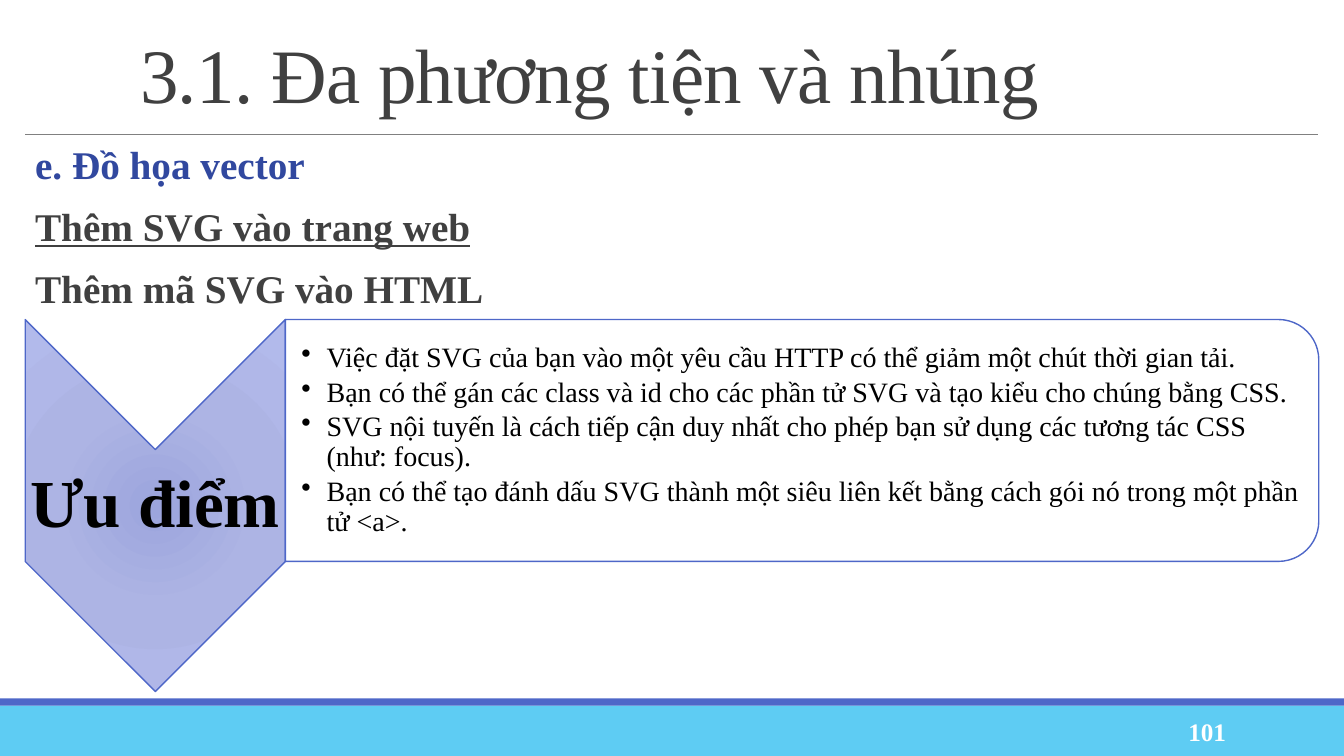
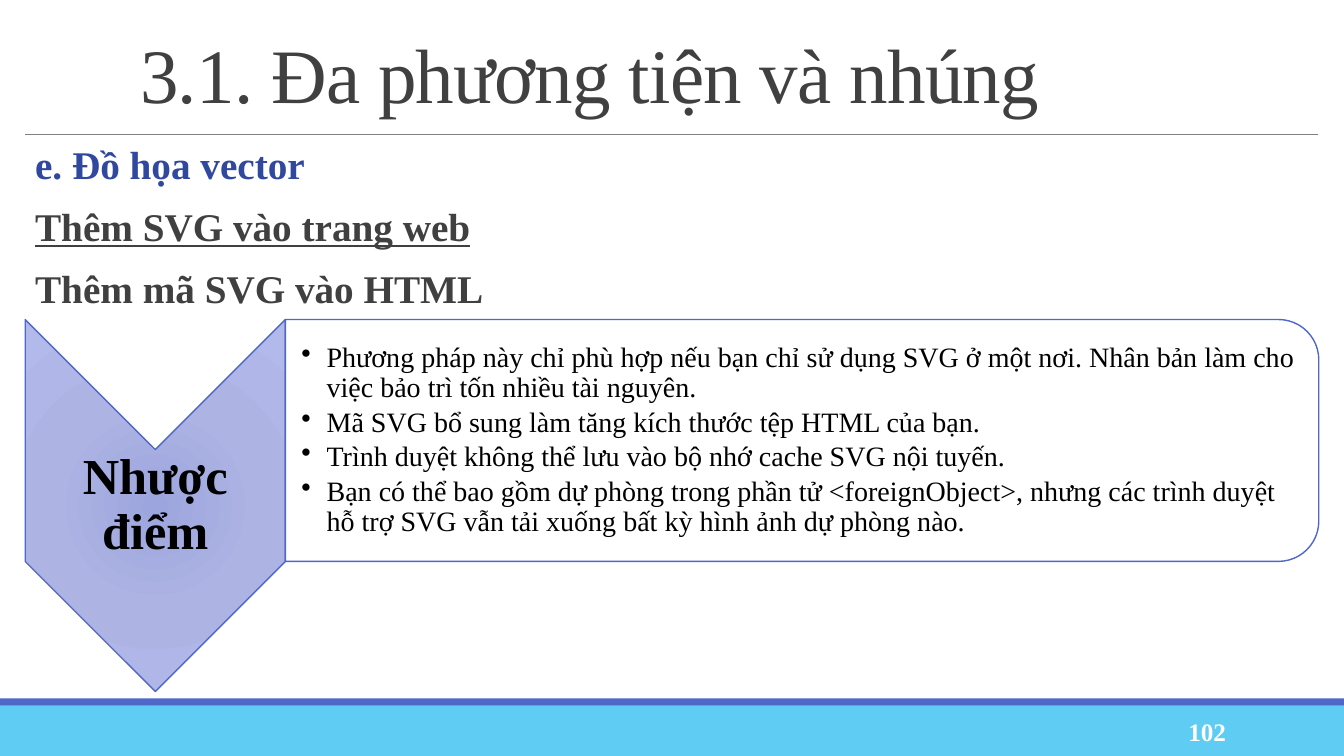
from lxml import etree
from pptx import Presentation
from pptx.dml.color import RGBColor
from pptx.enum.shapes import MSO_CONNECTOR, MSO_SHAPE
from pptx.enum.text import MSO_ANCHOR, MSO_AUTO_SIZE, PP_ALIGN
from pptx.oxml import parse_xml
from pptx.oxml.ns import qn
from pptx.util import Inches, Pt

LEFT, CENTER, RIGHT = PP_ALIGN.LEFT, PP_ALIGN.CENTER, PP_ALIGN.RIGHT
TOP, MIDDLE = MSO_ANCHOR.TOP, MSO_ANCHOR.MIDDLE
RECT, CHEVRON = MSO_SHAPE.RECTANGLE, MSO_SHAPE.CHEVRON
ROUND, LINE = MSO_SHAPE.ROUND_2_SAME_RECTANGLE, MSO_CONNECTOR.STRAIGHT

FONT = "Times New Roman"
COLORS = {
    "sky": "5ECCF3", "blue": "4E67C8", "navy": "31489F", "rule": "808080",
    "text": "404040", "black": "000000", "white": "FFFFFF",
}
GLOW = [(0, "9CA5DD"), (45, "ADB4E4"), (100, "B2BAEB")]

TITLE = "3.1. Đa phương tiện và nhúng"
HEADS = [
    ("e. Đồ họa vector", {"color": "navy"}),
    ("Thêm SVG vào trang web", {"underline": True}),
    ("Thêm mã SVG vào HTML", {}),
]
SLIDES = [
    {
        "number": "101", "label": "Ưu điểm", "size": 48,
        "points": [
            "Việc đặt SVG của bạn vào một yêu cầu HTTP có thể giảm một chút thời gian tải.",
            "Bạn có thể gán các class và id cho các phần tử SVG và tạo kiểu cho chúng bằng CSS.",
            "SVG nội tuyến là cách tiếp cận duy nhất cho phép bạn sử dụng các tương tác CSS (như: focus).",
            "Bạn có thể tạo đánh dấu SVG thành một siêu liên kết bằng cách gói nó trong một phần tử <a>.",
        ],
    },
    {
        "number": "102", "label": "Nhược điểm", "size": 36,
        "points": [
            "Phương pháp này chỉ phù hợp nếu bạn chỉ sử dụng SVG ở một nơi. Nhân bản làm cho việc bảo trì tốn nhiều tài nguyên.",
            "Mã SVG bổ sung làm tăng kích thước tệp HTML của bạn.",
            "Trình duyệt không thể lưu vào bộ nhớ cache SVG nội tuyến.",
            "Bạn có thể bao gồm dự phòng trong phần tử <foreignObject>, nhưng các trình duyệt hỗ trợ SVG vẫn tải xuống bất kỳ hình ảnh dự phòng nào.",
        ],
    },
]

WIDTH, HEIGHT = 13.33, 7.5
EDGE, TOP_Y = 0.25, 3.17
ARROW_W, ARROW_H = 2.58, 3.69
PANEL_W, PANEL_H = 10.25, 2.4


def rgb(name):
    return RGBColor.from_string(COLORS[name])


def write(shape, items, size, color="text", bold=False, align=LEFT,
          anchor=TOP, insets=(0.1, 0.05, 0.1, 0.05), line=None,
          before=0, after=0, bullet=False, spacing=None):
    """Fill a shape with paragraphs given as (text, own format) pairs."""
    frame = shape.text_frame
    frame.word_wrap = True
    frame.auto_size = MSO_AUTO_SIZE.NONE
    frame.vertical_anchor = anchor
    (frame.margin_left, frame.margin_top,
     frame.margin_right, frame.margin_bottom) = map(Inches, insets)
    for i, (text, own) in enumerate(items):
        para = frame.add_paragraph() if i else frame.paragraphs[0]
        if bullet:
            props = para._p.get_or_add_pPr()
            props.set("marL", str(Inches(0.25)))
            props.set("indent", str(-Inches(0.25)))
            etree.SubElement(props, qn("a:buChar")).set("char", "•")
        para.alignment = align
        para.line_spacing = line
        para.space_before = Pt(before if i else 0)
        para.space_after = Pt(after)
        run = para.add_run()
        run.text = text
        font = run.font
        font.name, font.size, font.bold = FONT, Pt(size), bold
        font.color.rgb = rgb(own.get("color", color))
        font.underline = own.get("underline", False)
        if spacing is not None:
            run._r.get_or_add_rPr().set("spc", str(int(spacing * 100)))


def add_text(slide, box, items, size, **style):
    write(slide.shapes.add_textbox(*map(Inches, box)), items, size, **style)


def add_box(slide, kind, box, fill, outline=None):
    shape = slide.shapes.add_shape(kind, *map(Inches, box))
    shape.shadow.inherit = False
    shape.fill.solid()
    shape.fill.fore_color.rgb = rgb(fill)
    if outline:
        shape.line.color.rgb = rgb(outline)
        shape.line.width = Pt(1)
    else:
        shape.line.fill.background()
    return shape


def add_turned(slide, kind, box, fill):
    """Add an outlined shape turned 90 degrees so that it covers the box."""
    x, y, w, h = box
    shift = (w - h) / 2
    shape = add_box(slide, kind, (x + shift, y - shift, h, w), fill, "blue")
    shape.rotation = 90
    return shape


def add_glow(shape):
    """Replace the solid fill by a round gradient."""
    stops = "".join(
        f'<a:gs pos="{pos * 1000}"><a:srgbClr val="{color}"/></a:gs>'
        for pos, color in GLOW)
    glow = parse_xml(
        '<a:gradFill xmlns:a="http://schemas.openxmlformats.org/drawingml/2006/main"'
        f' rotWithShape="1"><a:gsLst>{stops}</a:gsLst><a:path path="circle">'
        '<a:fillToRect l="100000" t="100000" r="100000" b="100000"/>'
        '</a:path></a:gradFill>')
    props = shape._element.spPr
    props.replace(props.find(qn("a:solidFill")), glow)


def add_frame(slide, number):
    """Add what all slides share: bands, rule, title, headings, number."""
    add_box(slide, RECT, (0, 7, WIDTH, 0.5), "sky")
    add_box(slide, RECT, (0, 6.93, WIDTH, 0.07), "blue")
    rule = slide.shapes.add_connector(
        LINE, *map(Inches, (EDGE, 1.33, 13.07, 1.33)))
    rule.line.color.rgb = rgb("rule")
    rule.line.width = Pt(0.5)
    etree.SubElement(rule._element.spPr, qn("a:effectLst"))

    title = slide.shapes.title
    title.left, title.top, title.width, title.height = map(
        Inches, (1.29, 0.31, 11.78, 0.96))
    write(title, [(TITLE, {})], 55, anchor=MIDDLE, line=0.85, spacing=-0.5)
    add_text(slide, (EDGE, 1.4, 12.82, 1.77), HEADS, 28, bold=True,
             insets=(0.1, 0.05, 0, 0.05), line=0.9, before=12, after=2)
    add_text(slide, (10.83, 7.06, 1.43, 0.4), [(number, {})], 18,
             color="white", bold=True, align=RIGHT, anchor=MIDDLE)


def add_panel(slide, label, size, points):
    """Add the arrow with its label and the panel with its points."""
    split = EDGE + ARROW_W
    arrow = add_turned(slide, CHEVRON, (EDGE, TOP_Y, ARROW_W, ARROW_H), "white")
    add_glow(arrow)
    add_text(slide, (EDGE, TOP_Y + ARROW_W / 2, ARROW_W, ARROW_H - ARROW_W),
             [(label, {})], size, color="black", bold=True, align=CENTER,
             anchor=MIDDLE, insets=(0.03,) * 4, line=0.9)
    add_turned(slide, ROUND, (split, TOP_Y, PANEL_W, PANEL_H), "white")
    add_text(slide, (split, TOP_Y + 0.12, 10.14, PANEL_H - 0.24),
             [(point, {}) for point in points], 20, color="black",
             anchor=MIDDLE, insets=(0.16, 0.01, 0.01, 0.01), line=0.9,
             after=3, bullet=True)


def main():
    deck = Presentation()
    deck.slide_width, deck.slide_height = Inches(WIDTH), Inches(HEIGHT)
    for page in SLIDES:
        slide = deck.slides.add_slide(deck.slide_layouts[5])
        add_frame(slide, page["number"])
        add_panel(slide, page["label"], page["size"], page["points"])
    deck.save("out.pptx")


if __name__ == "__main__":
    main()
